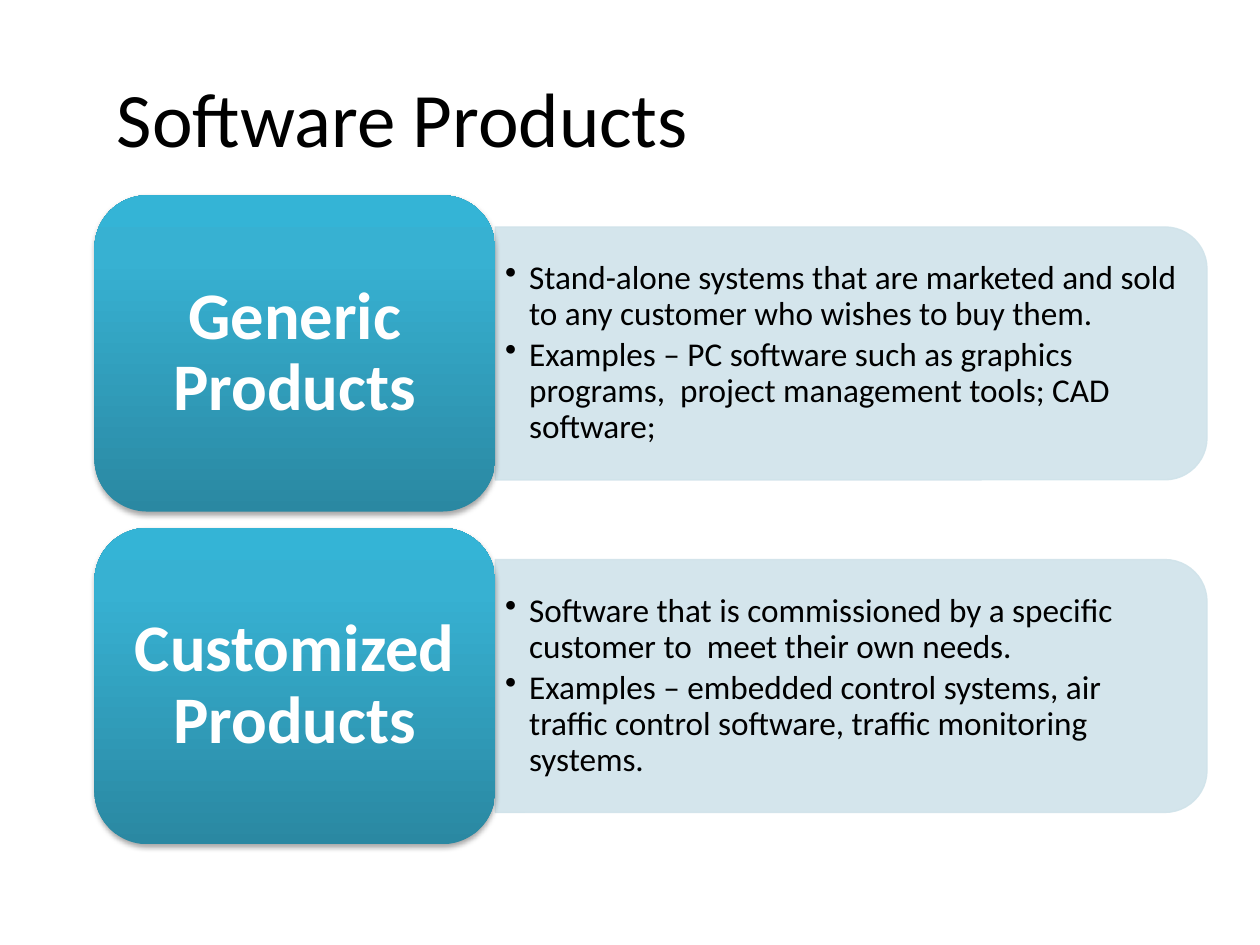
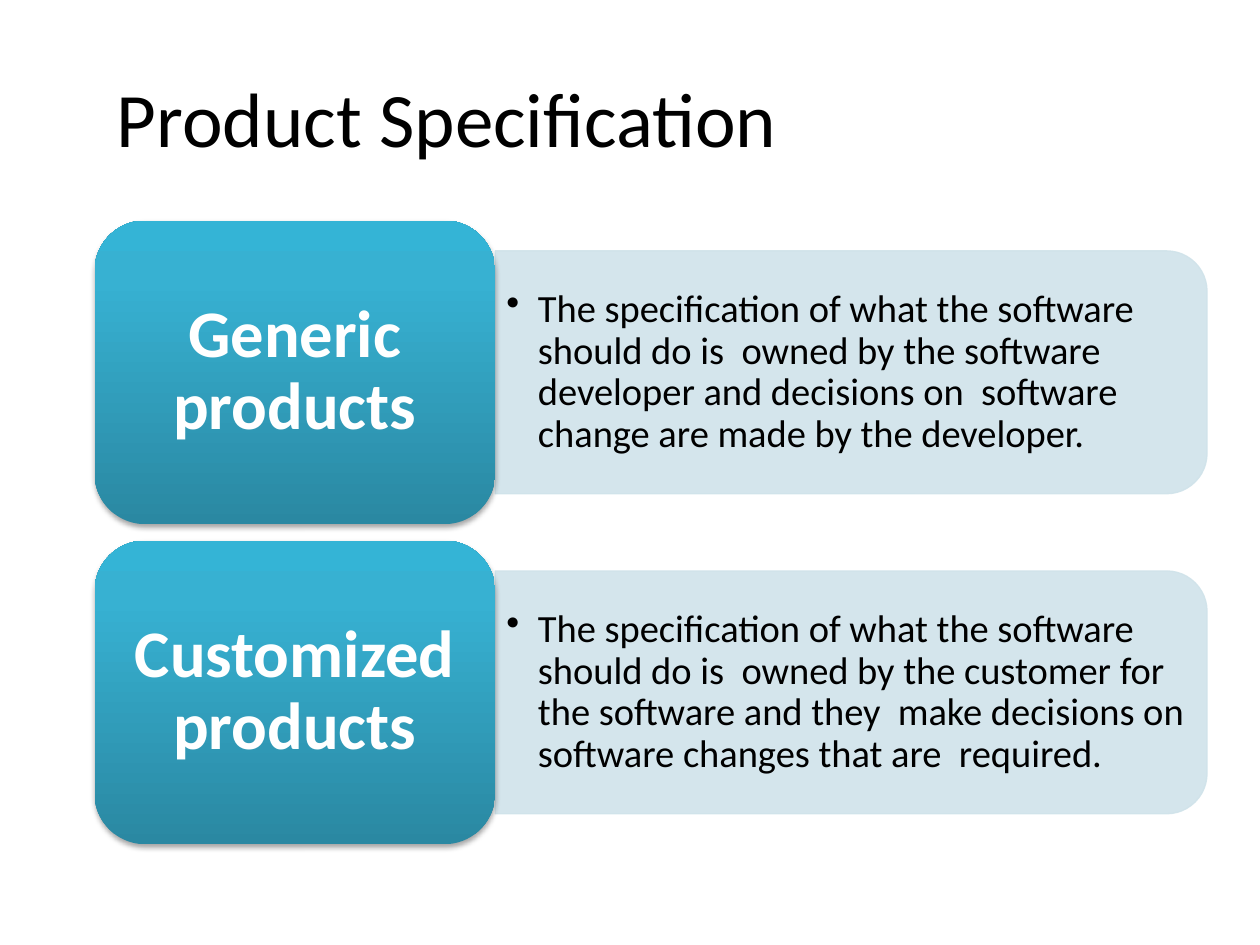
from lxml import etree
from pptx import Presentation
from pptx.dml.color import RGBColor
from pptx.enum.shapes import MSO_SHAPE
from pptx.enum.text import MSO_ANCHOR, PP_ALIGN
from pptx.oxml import parse_xml
from pptx.oxml.ns import nsdecls, qn
from pptx.util import Inches, Pt

FONT = "Calibri"
HUE = {"ink": "000000", "card": "FFFFFF", "panel": "D0E3EA",
       "low": "2A88A2", "mid": "37B1D2", "top": "34B4D6"}

# Shared geometry: cards on the left, panels on the right
LEFT, CARD, PANEL = 0.75, 3.18, 5.65
BASE, GAP = 6.7, 0.13

GRAD = f"""<a:gradFill {nsdecls("a")} rotWithShape="1"><a:gsLst>
<a:gs pos="0"><a:srgbClr val="{HUE['low']}"/></a:gs>
<a:gs pos="80000"><a:srgbClr val="{HUE['mid']}"/></a:gs>
<a:gs pos="100000"><a:srgbClr val="{HUE['top']}"/></a:gs>
</a:gsLst><a:lin ang="16200000" scaled="0"/></a:gradFill>"""
SHADOW = f"""<a:outerShdw {nsdecls("a")} blurRad="{Pt(3.1)}" dist="{Pt(1.8)}"
dir="5400000" rotWithShape="0"><a:srgbClr val="000000"><a:alpha val="35000"/>
</a:srgbClr></a:outerShdw>"""

# Title, card height, text size, bullet indent, inset, then card and bullets
SLIDES = [
    ("Software Products", 2.51, 19, 0.19, 0.08, [
        ("Generic Products", [
            "Stand-alone systems that are marketed and sold to any customer "
            "who wishes to buy them.",
            "Examples – PC software such as graphics programs,  project "
            "management tools; CAD software;"]),
        ("Customized Products", [
            "Software that is commissioned by a specific customer to  meet "
            "their own needs.",
            "Examples – embedded control systems, air traffic control "
            "software, traffic monitoring systems."])]),
    ("Product Specification", 2.41, 22, 0.25, 0.09, [
        ("Generic products", [
            "The specification of what the software should do is  owned by "
            "the software developer and decisions on  software change are "
            "made by the developer."]),
        ("Customized products", [
            "The specification of what the software should do is  owned by "
            "the customer for the software and they  make decisions on "
            "software changes that are  required."])]),
]


def write(shape, lines, size, hue, pad=0.1, bold=False):
    """Fill a shape with middle-anchored paragraphs and return them."""
    frame = shape.text_frame
    frame.word_wrap = True
    frame.vertical_anchor = MSO_ANCHOR.MIDDLE
    frame.margin_left = frame.margin_right = Inches(pad)
    frame.margin_top = frame.margin_bottom = Inches(pad / 2)
    frame.text = "\n".join(lines)
    for para in frame.paragraphs:
        para.font.name, para.font.size, para.font.bold = FONT, Pt(size), bold
        para.font.color.rgb = RGBColor.from_string(HUE[hue])
    return frame.paragraphs


deck = Presentation()
deck.slide_width, deck.slide_height = Inches(10), Inches(7.5)

for title, high, size, indent, pad, rows in SLIDES:
    slide = deck.slides.add_slide(deck.slide_layouts[6])
    shapes = slide.shapes

    # Title
    box = shapes.add_textbox(Inches(0.83), Inches(0.3), Inches(8.83), Inches(1.25))
    write(box, [title], 44, "ink")

    first = BASE - len(rows) * high - (len(rows) - 1) * GAP
    for row, (name, points) in enumerate(rows):
        top = first + row * (high + GAP)
        mid = top + high / 2
        edge = LEFT + CARD
        depth = 0.8 * high

        # Panel, turned so that its round corners face right
        panel = shapes.add_shape(
            MSO_SHAPE.ROUND_2_SAME_RECTANGLE,
            Inches(edge + PANEL / 2 - depth / 2), Inches(mid - PANEL / 2),
            Inches(depth), Inches(PANEL))
        panel.rotation = 90
        panel.shadow.inherit = False
        panel.fill.solid()
        panel.line.width = Pt(0.75)
        for paint in (panel.fill.fore_color, panel.line.color):
            paint.rgb = RGBColor.from_string(HUE["panel"])
        for tint in panel._element.spPr.iter(qn("a:srgbClr")):
            etree.SubElement(tint, qn("a:alpha"), val="90000")

        # Bullets
        tall = depth - 0.2
        box = shapes.add_textbox(Inches(edge), Inches(mid - tall / 2),
                                 Inches(PANEL - 0.09), Inches(tall))
        for para in write(box, points, size, "ink", pad):
            para.line_spacing = 0.9
            para.space_after = Pt(0.15 * size)
            props = para._p.get_or_add_pPr()
            props.set("marL", str(Inches(indent)))
            props.set("indent", str(-Inches(indent)))
            mark = parse_xml(f'<a:buChar {nsdecls("a")} char="•"/>')
            props.insert_element_before(mark, "a:tabLst", "a:defRPr", "a:extLst")

        # Card
        card = shapes.add_shape(MSO_SHAPE.ROUNDED_RECTANGLE, Inches(LEFT),
                                Inches(top), Inches(CARD), Inches(high))
        card.line.fill.background()
        card.shadow.inherit = False
        look = card._element.spPr
        look.find(qn("a:prstGeom")).addnext(parse_xml(GRAD))
        look.find(qn("a:effectLst")).append(parse_xml(SHADOW))
        for para in write(card, [name], 38, "card", 0.16, True):
            para.alignment = PP_ALIGN.CENTER
            para.line_spacing = 0.9

deck.save("out.pptx")
